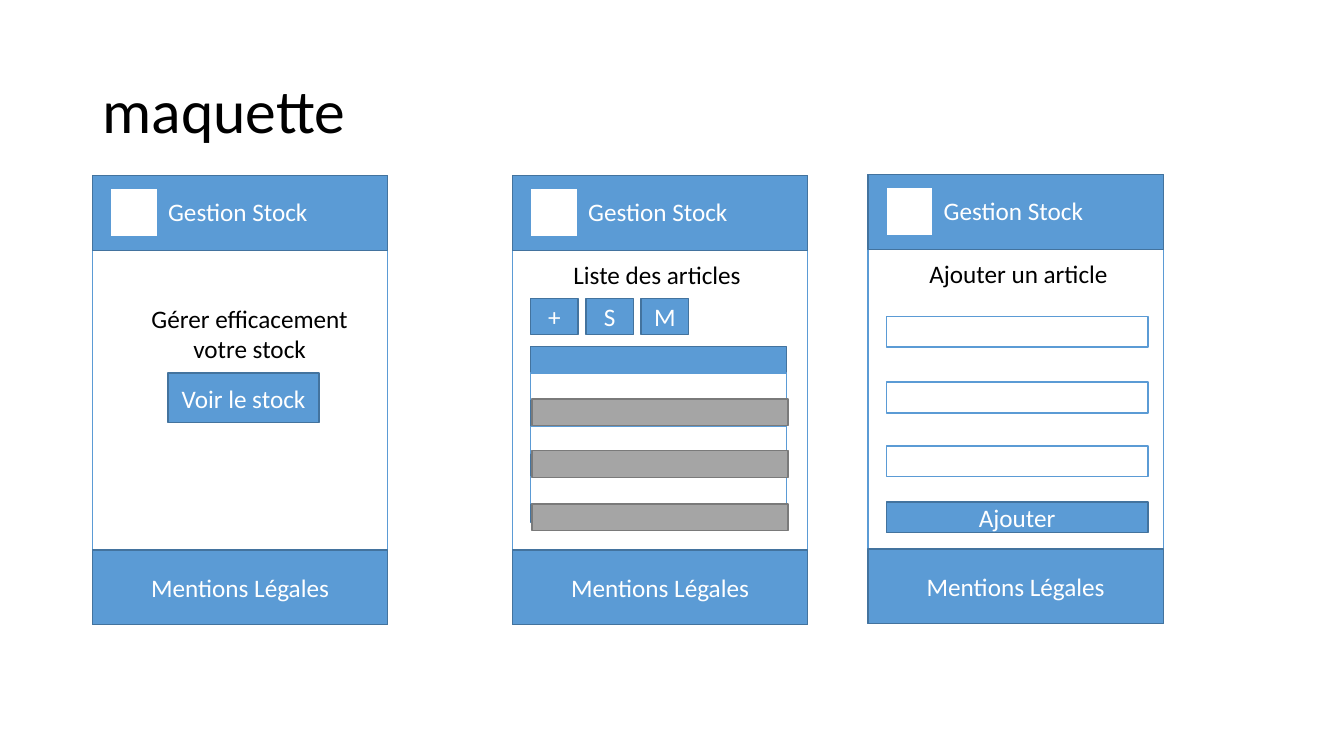
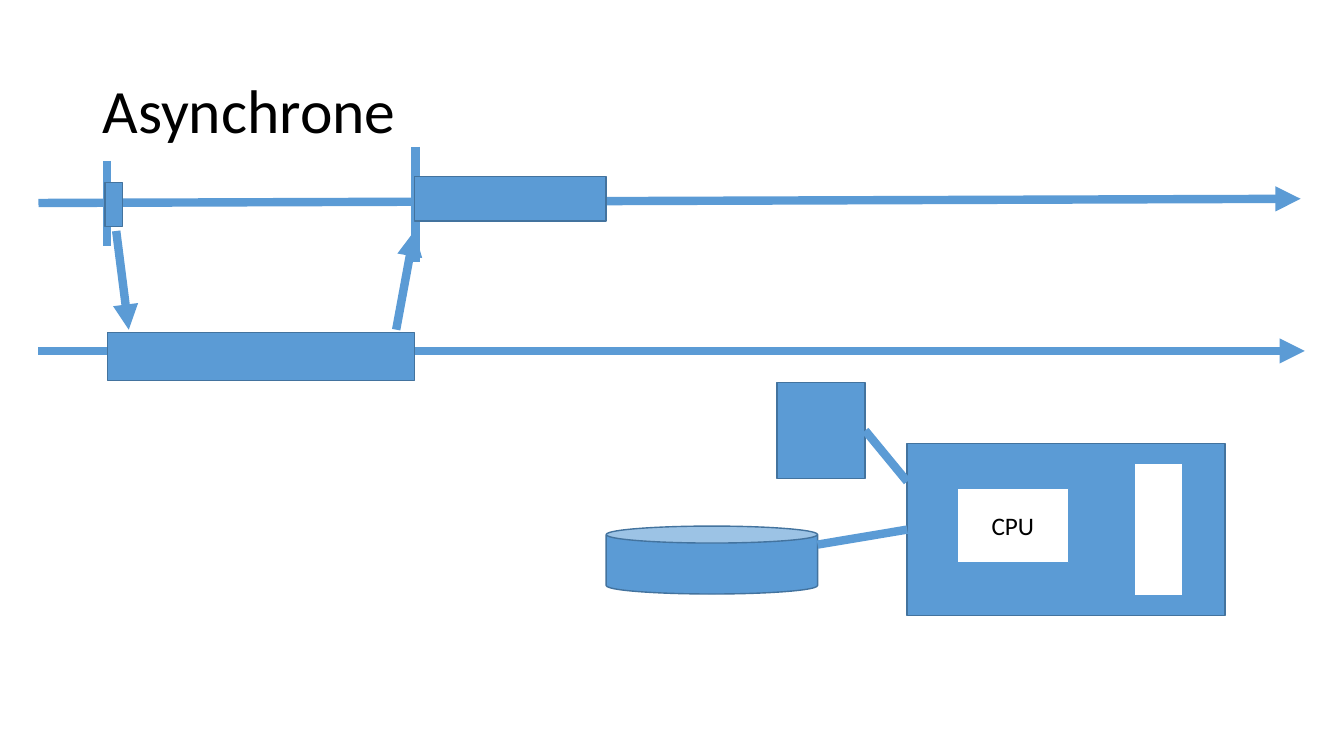
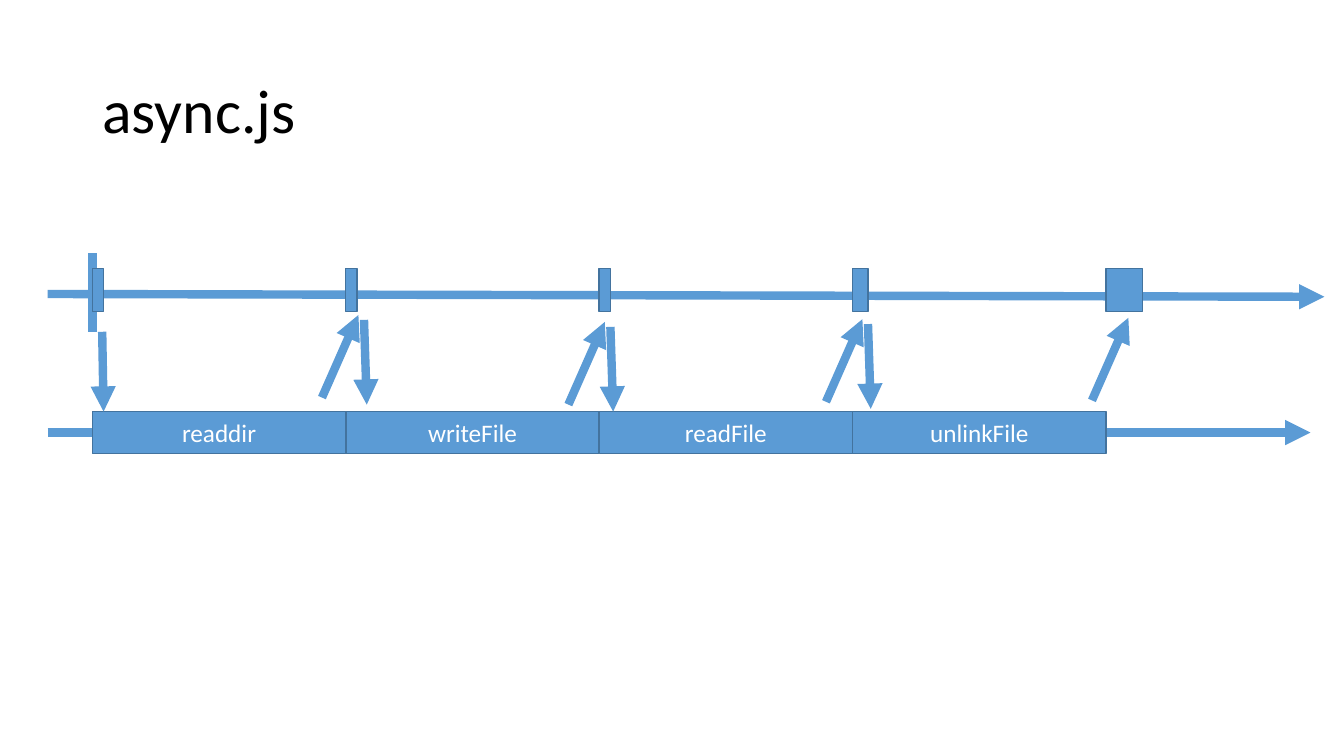
from lxml import etree
from pptx import Presentation
from pptx.dml.color import RGBColor
from pptx.enum import shapes, text
from pptx.oxml import ns
from pptx.util import Pt

COLOURS = {"blue": "5B9BD5", "navy": "43739E", "white": "FFFFFF",
           "black": "000000", "grey": "A5A5A5", "slate": "7A7A7A"}
# fill, outline, text
LOOKS = {"solid": ("blue", "navy", "white"),
         "hollow": ("white", "blue", "black"),
         "band": ("grey", "slate", "white")}
BODY = {"name": "Calibri", "size": Pt(18)}
HEADING = {"name": "Calibri", "size": Pt(44)}
CENTRED = {"alignment": text.PP_ALIGN.CENTER}
LEFT = {"alignment": text.PP_ALIGN.LEFT}
TITLE_AT = (66, 29, 828, 104)
LEFT_SIDE, RIGHT_SIDE = 1, 3


def colour(name):
    return RGBColor.from_string(COLOURS[name])


def apply(target, values):
    for name, value in values.items():
        setattr(target, name, value)


class Deck:
    def __init__(self):
        self.file = Presentation()
        apply(self.file, {"slide_width": Pt(960), "slide_height": Pt(540)})
        self.slide = None

    def add_words(self, frame, words, ink, font=BODY, paragraph=CENTRED):
        line = frame.paragraphs[0]
        apply(line, paragraph)
        run = line.add_run()
        run.text = words
        apply(run.font, font)
        run.font.color.rgb = colour(ink)

    def new_slide(self, heading):
        self.slide = self.file.slides.add_slide(self.file.slide_layouts[5])
        title = self.slide.shapes.title
        apply(title, dict(zip(("left", "top", "width", "height"), map(Pt, TITLE_AT))))
        apply(title.text_frame, {"vertical_anchor": text.MSO_ANCHOR.MIDDLE,
                                 "auto_size": text.MSO_AUTO_SIZE.NONE})
        self.add_words(title.text_frame, heading, "black", HEADING,
                       {**LEFT, "line_spacing": 0.9})

    def box(self, x, y, w, h, look="solid", label="", kind=shapes.MSO_SHAPE.RECTANGLE):
        fill, outline, ink = LOOKS[look]
        shape = self.slide.shapes.add_shape(kind, *map(Pt, (x, y, w, h)))
        shape.shadow.inherit = False
        shape.fill.solid()
        shape.fill.fore_color.rgb = colour(fill)
        shape.line.color.rgb = colour(outline)
        shape.line.width = Pt(1)
        if label:
            shape.text_frame.vertical_anchor = text.MSO_ANCHOR.MIDDLE
            self.add_words(shape.text_frame, label, ink)
        return shape

    def caption(self, x, y, w, h, words, ink="black", wrap=False):
        frame = self.slide.shapes.add_textbox(*map(Pt, (x, y, w, h))).text_frame
        apply(frame, {"word_wrap": wrap,
                      "auto_size": text.MSO_AUTO_SIZE.SHAPE_TO_FIT_TEXT})
        self.add_words(frame, words, ink, paragraph=CENTRED if wrap else LEFT)

    def line(self, x1, y1, x2, y2, arrow=False):
        link = self.slide.shapes.add_connector(
            shapes.MSO_CONNECTOR.STRAIGHT, *map(Pt, (x1, y1, x2, y2)))
        link.line.color.rgb = colour("blue")
        link.line.width = Pt(6)
        properties = link.element.spPr
        if arrow:
            stroke = properties.find(ns.qn("a:ln"))
            etree.SubElement(stroke, ns.qn("a:tailEnd"), type="triangle")
        etree.SubElement(properties, ns.qn("a:effectLst"))
        return link

    def phone(self, x, y):
        """Draw the empty app screen: frame, header and footer."""
        self.box(x, y, 211, 321, "hollow")
        self.box(x, y, 211, 53.5)
        self.box(x, y + 267.5, 211, 53.5, label="Mentions Légales")
        self.box(x + 13, y + 9, 33.5, 35, "hollow")
        self.caption(x + 47, y + 11.5, 115, 29, "Gestion Stock", "white")


def mockup(deck):
    deck.new_slide("maquette")
    home, stock, form = 66, 366, 620

    deck.phone(home, 125.3)
    deck.caption(home + 29.8, 213, 165, 51, "Gérer efficacement votre stock", wrap=True)
    deck.box(home + 54, 266.5, 108, 35.5, label="Voir le stock")

    deck.phone(stock, 125.3)
    deck.box(stock + 13, 247.7, 183, 125.3)
    deck.caption(stock + 36.5, 181.5, 135.5, 29, "Liste des articles")
    for column, action in enumerate("+SM"):
        deck.box(stock + 13 + 39.5 * column, 213.3, 34, 25.5, label=action)
    for look, indent, tops in (("hollow", 13, (266.5, 304.5, 340.5)),
                               ("band", 14, (285, 322, 360))):
        for top in tops:
            deck.box(stock + indent, top, 183, 19, look)

    deck.phone(form, 124.6)
    deck.caption(form + 36.7, 181, 143, 29, "Ajouter un article")
    for top in (226, 273, 318.5):
        deck.box(form + 13, top, 187, 22, "hollow")
    deck.box(form + 13, 358.5, 187, 22, label="Ajouter")


def asynchronous(deck):
    deck.new_slide("Asynchrone")
    deck.line(27.5, 145, 929, 142, arrow=True)
    deck.line(76.5, 115, 76.5, 176)
    deck.line(296.8, 105, 296.8, 187)

    computer = deck.box(648, 316.8, 227, 123)
    deck.box(683.5, 349, 80, 53, "hollow", "CPU")
    deck.box(810, 331, 35, 94.5, "hollow")
    deck.box(433, 375.8, 151, 48.5, kind=shapes.MSO_SHAPE.CAN)
    disk_link = deck.line(648, 378.5, 584, 389)
    disk_link.begin_connect(computer, LEFT_SIDE)
    screen = deck.box(555, 273.3, 63, 68.5)
    screen_link = deck.line(618, 307.5, 648, 344)
    screen_link.begin_connect(screen, RIGHT_SIDE)

    deck.line(27.5, 250.7, 932, 250.7, arrow=True)
    deck.box(77, 237.7, 219, 34)
    deck.line(83, 165, 92, 235.5, arrow=True)
    deck.line(283, 235.5, 296, 165, arrow=True)
    deck.box(296, 126, 137, 32)
    deck.box(75, 130.3, 12.5, 31.5)


def file_chain(deck):
    deck.new_slide("async.js")
    start, step = 66, 181
    tasks = ("readdir", "writeFile", "readFile", "unlinkFile")
    callback_tips = ((256, 225), (432, 230), (616, 228), (806, 227))

    deck.line(34, 210, 946, 212, arrow=True)
    deck.line(start, 181, start, 237)
    for position, width in enumerate((8, 8, 8, 11, 26)):
        deck.box(start + step * position, 192, width, 30.5)

    deck.line(34, 309, 936, 309, arrow=True)
    for position, task in enumerate(tasks):
        deck.box(start + step * position, 294, step, 30, label=task)

    deck.line(73, 237, 74, 294, arrow=True)
    for x, y in callback_tips:
        deck.line(x - 26, y + 59, x, y, arrow=True)
    for x, y in callback_tips[:-1]:
        deck.line(x + 4, y + 3.5, x + 6, y + 64, arrow=True)


def main():
    deck = Deck()
    for build in (mockup, asynchronous, file_chain):
        build(deck)
    deck.file.save("out.pptx")


if __name__ == "__main__":
    main()
